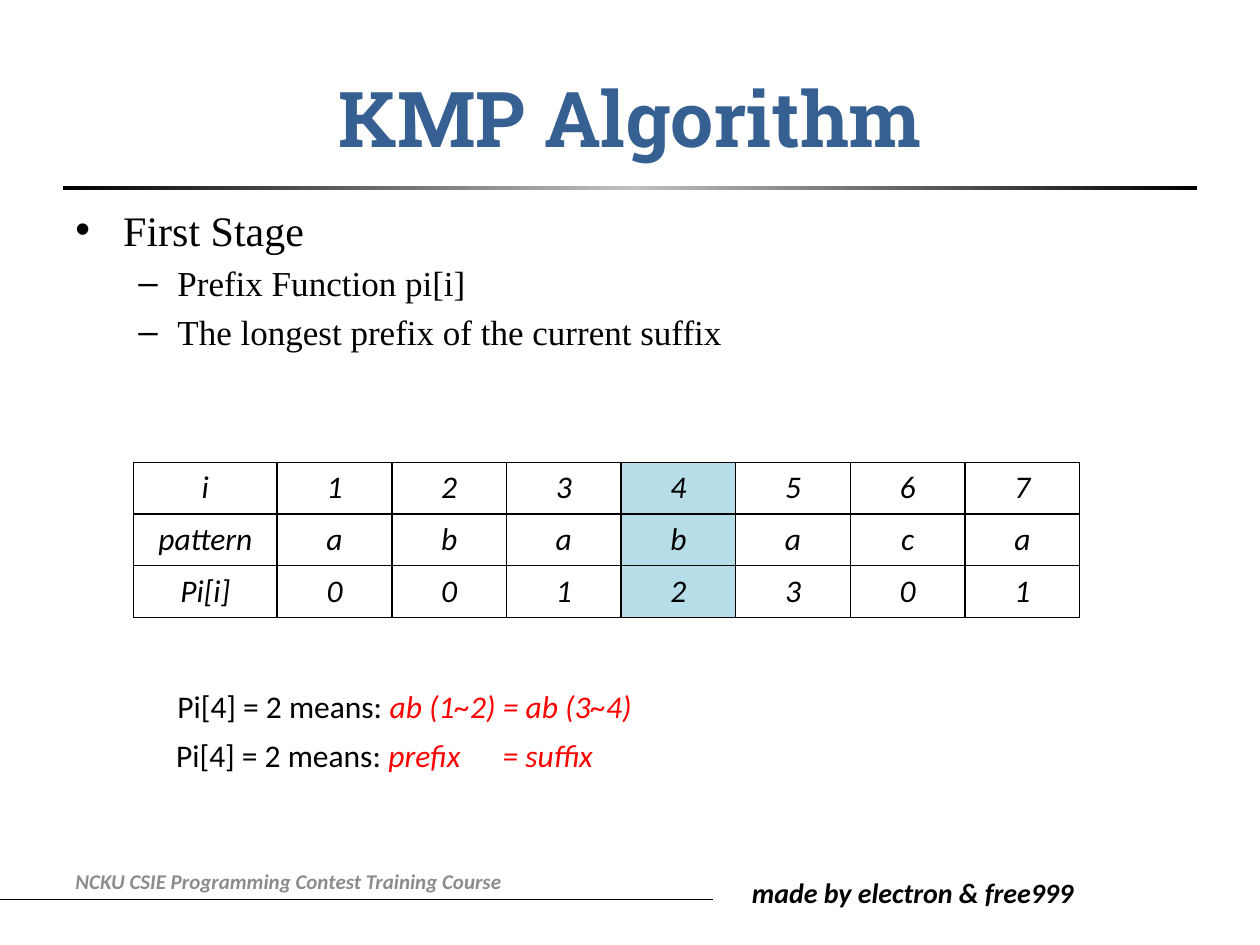
from dataclasses import dataclass

from lxml import etree
from pptx import Presentation
from pptx.dml.color import RGBColor
from pptx.enum.shapes import MSO_CONNECTOR, MSO_SHAPE
from pptx.enum.text import MSO_ANCHOR, MSO_AUTO_SIZE, PP_ALIGN
from pptx.oxml import parse_xml
from pptx.oxml.ns import nsdecls, qn
from pptx.util import Inches, Pt

RECT, LINE = MSO_SHAPE.RECTANGLE, MSO_CONNECTOR.STRAIGHT
TOP, MIDDLE, CENTER = MSO_ANCHOR.TOP, MSO_ANCHOR.MIDDLE, PP_ALIGN.CENTER
NO_FIT = MSO_AUTO_SIZE.NONE
COLORS = {"ink": "000000", "title": "376092", "grey": "8C8C8C", "silver": "C0C0C0",
          "red": "FF0000", "mark": "B7DEE8", "paper": "FFFFFF"}
SANS, SERIF, SLAB = "Calibri", "Times New Roman", "Roboto Slab"
ROWS = [("i", *"1234567"), ("pattern", *"ababaca"), ("Pi[i]", *"0012301")]
MARKED = 4


@dataclass
class Words:
    """A run of text and its format."""
    text: str
    size: float
    font: str = SANS
    color: str = "ink"
    bold: bool = False
    italic: bool = False


@dataclass
class Label:
    """A text box made of one line of runs."""
    left: float
    top: float
    width: float
    height: float
    words: list[Words]
    anchor: MSO_ANCHOR = TOP
    tab: float = 0


@dataclass
class Point:
    """A bulleted line; indents are in inches."""
    words: Words
    level: int
    left: float
    hang: float
    mark: str


MEANS = Words("Pi[4] = 2 means: ", 18)
LABELS = [
    Label(5.87, 6.9, 2.96, 0.37,
          [Words("made by electron & free999", 16, bold=True, italic=True)]),
    Label(0.5, 6.79, 5.05, 0.4,
          [Words("NCKU CSIE Programming Contest Training Course", 12, color="grey",
                 bold=True, italic=True)], MIDDLE),
    Label(1.31, 5.4, 5.35, 0.4,
          [MEANS, Words("ab (1~2) = ab (3~4)", 18, color="red", italic=True)]),
    Label(1.3, 5.79, 5.35, 0.4,
          [MEANS, Words("prefix\t= suffix", 18, color="red", italic=True)], tab=2.59),
]
POINTS = [
    Point(Words("First Stage", 24, SERIF), 0, 0.38, 0.38, "•"),
    Point(Words("Prefix Function pi[i]", 20, SERIF), 1, 0.81, 0.31, "–"),
    Point(Words("The longest prefix of the current suffix", 20, SERIF), 1, 0.81, 0.31, "–"),
]


def rgb(name: str) -> RGBColor:
    """Look up a colour."""
    return RGBColor.from_string(COLORS[name])


def write(para, words: Words) -> None:
    """Add one run to a paragraph."""
    run = para.add_run()
    run.text = words.text
    font = run.font
    font.name, font.size = words.font, Pt(words.size)
    font.bold, font.italic = words.bold, words.italic
    font.color.rgb = rgb(words.color)


def add_box(slide, left: float, top: float, width: float, height: float):
    """Add a wrapping text box and return its frame."""
    box = slide.shapes.add_textbox(Inches(left), Inches(top), Inches(width), Inches(height))
    box.text_frame.word_wrap = True
    return box.text_frame


def add_label(slide, label: Label) -> None:
    """Draw a label, with a tab stop if it needs one."""
    frame = add_box(slide, label.left, label.top, label.width, label.height)
    frame.vertical_anchor = label.anchor
    para = frame.paragraphs[0]
    if label.tab:
        stops = etree.SubElement(para._p.get_or_add_pPr(), qn("a:tabLst"))
        etree.SubElement(stops, qn("a:tab"), pos=str(Inches(label.tab)), algn="l")
    for words in label.words:
        write(para, words)


def add_points(slide) -> None:
    """Draw the bulleted list."""
    frame = add_box(slide, 0.5, 1.57, 9, 4.95)
    for num, point in enumerate(POINTS):
        para = frame.add_paragraph() if num else frame.paragraphs[0]
        para.level = point.level
        props = para._p.get_or_add_pPr()
        props.set("marL", str(Inches(point.left)))
        props.set("indent", str(-Inches(point.hang)))
        space = etree.SubElement(props, qn("a:spcBef"))
        etree.SubElement(space, qn("a:spcPct"), val="20000")
        etree.SubElement(props, qn("a:buFont"), typeface="Arial")
        etree.SubElement(props, qn("a:buChar"), char=point.mark)
        write(para, point.words)


def set_cell(cell, text: str, fill: str) -> None:
    """Fill, border and write one cell."""
    props = cell._tc.get_or_add_tcPr()
    for side in ("lnL", "lnR", "lnT", "lnB"):
        props.append(parse_xml(
            f'<a:{side} {nsdecls("a")} w="{Pt(1)}"><a:solidFill>'
            f'<a:srgbClr val="{COLORS["ink"]}"/></a:solidFill></a:{side}>'))
    cell.fill.solid()
    cell.fill.fore_color.rgb = rgb(fill)
    para = cell.text_frame.paragraphs[0]
    para.alignment = CENTER
    write(para, Words(text, 18, italic=True))


def add_grid(slide) -> None:
    """Draw the prefix table with its marked column."""
    grid = slide.shapes.add_table(len(ROWS), len(ROWS[0]), Inches(1.06), Inches(3.67),
                                  Inches(7.51), Inches(1.22)).table
    grid.first_row = grid.horz_banding = False
    for num, col in enumerate(grid.columns):
        col.width = Inches(0.91 if num else 1.14)
    for row, texts in enumerate(ROWS):
        grid.rows[row].height = Inches(0.41)
        for col, text in enumerate(texts):
            set_cell(grid.cell(row, col), text, "mark" if col == MARKED else "paper")


def add_rules(slide) -> None:
    """Draw the footer line and the shaded bar under the title."""
    line = slide.shapes.add_connector(LINE, 0, Inches(7.14), Inches(5.66), Inches(7.14))
    line.line.color.rgb, line.line.width = rgb("ink"), Pt(0.5)
    etree.SubElement(line._element.spPr, qn("a:effectLst"))
    bar = slide.shapes.add_shape(RECT, Inches(0.5), Inches(1.48), Inches(9), Inches(0.03))
    bar.shadow.inherit = False
    bar.line.fill.background()
    bar.fill.gradient()
    bar.fill.gradient_angle = 0
    stops = bar._element.spPr.find(qn("a:gradFill")).find(qn("a:gsLst"))
    for stop in list(stops):
        stops.remove(stop)
    for pos, name in ((0, "ink"), (50, "silver"), (100, "ink")):
        stop = etree.SubElement(stops, qn("a:gs"), pos=str(pos * 1000))
        etree.SubElement(stop, qn("a:srgbClr"), val=COLORS[name])


def set_title(slide) -> None:
    """Place and write the title."""
    title = slide.shapes.title
    title.left, title.top = Inches(0.5), Inches(0.3)
    title.width, title.height = Inches(9), Inches(1.25)
    frame = title.text_frame
    frame.auto_size, frame.vertical_anchor = NO_FIT, MIDDLE
    para = frame.paragraphs[0]
    para.alignment = CENTER
    write(para, Words("KMP Algorithm", 44, SLAB, "title", bold=True))


def main() -> None:
    """Build and save the slide."""
    deck = Presentation()
    deck.slide_width, deck.slide_height = Inches(10), Inches(7.5)
    slide = deck.slides.add_slide(deck.slide_layouts[5])
    add_rules(slide)
    set_title(slide)
    add_points(slide)
    add_grid(slide)
    for label in LABELS:
        add_label(slide, label)
    deck.save("out.pptx")


main()
